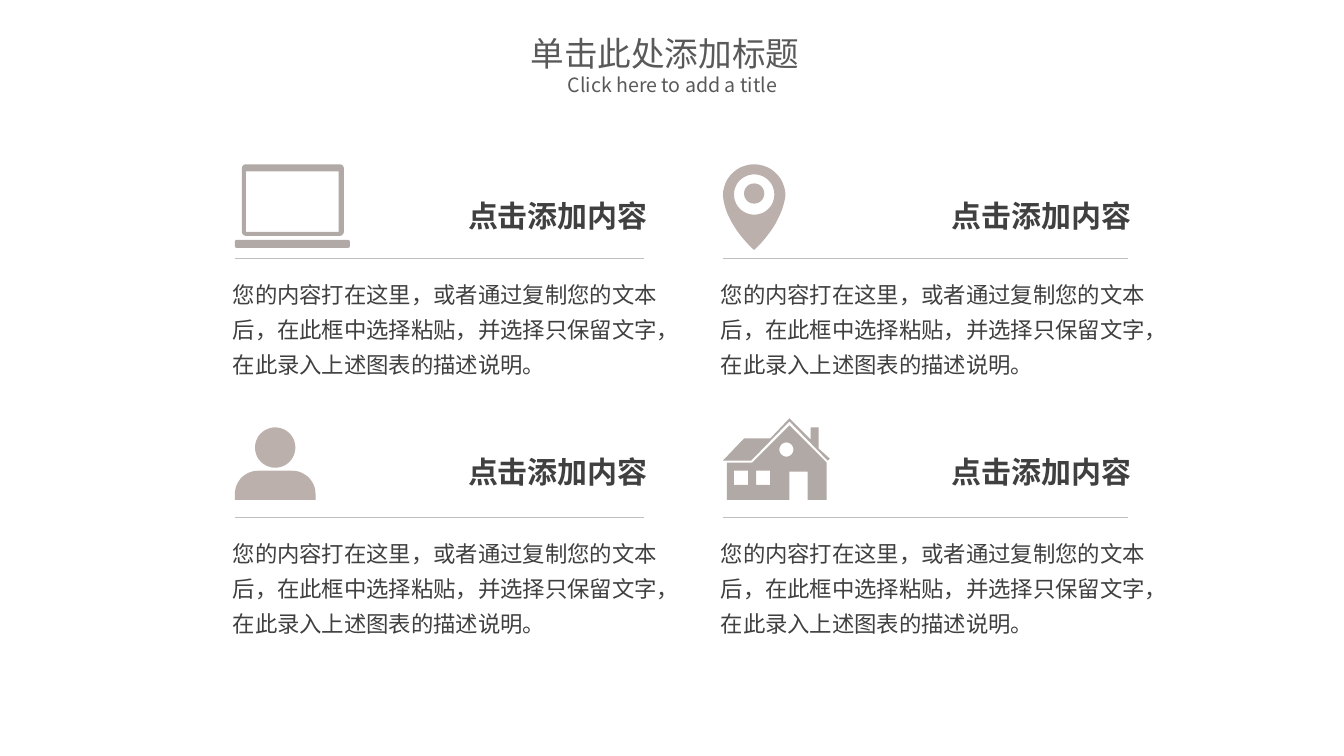
from math import cos, radians, sin

from lxml import etree
from pptx import Presentation
from pptx.dml.color import RGBColor
from pptx.enum import shapes, text
from pptx.oxml import ns
from pptx.util import Inches, Pt

FONT = "Noto Sans CJK SC"
TITLE = RGBColor(0x59, 0x59, 0x59)
INK = RGBColor(0x40, 0x40, 0x40)
RULE = RGBColor(0xBF, 0xBF, 0xBF)
TAUPE = RGBColor(0xB1, 0xA9, 0xA5)
ROSE = RGBColor(0xBB, 0xB0, 0xAC)
HEAD = "点击添加内容"
BODY = ("您的内容打在这里，或者通过复制您的文本后，在此框中选择粘贴，"
        "并选择只保留文字，在此录入上述图表的描述说明。")


def arc(x, y, r, start=0, end=360):
    """Points on a circle, clockwise from start to end in degrees."""
    count = max(8, (end - start) // 8)
    turns = [radians(start + (end - start) * i / count) for i in range(count + 1)]
    return [(x + r * cos(t), y + r * sin(t)) for t in turns]


def curve(a, b, c, d, count=16):
    """Points on a cubic Bezier curve."""
    steps = [i / count for i in range(count + 1)]
    return [tuple((1 - t) ** 3 * p + 3 * t * (1 - t) ** 2 * q
                  + 3 * t * t * (1 - t) * r + t ** 3 * s
                  for p, q, r, s in zip(a, b, c, d)) for t in steps]


def rect(x, y, w, h):
    return [(x, y), (x + w, y), (x + w, y + h), (x, y + h)]


def round_rect(x, y, w, h, r):
    return (arc(x + r, y + r, r, 180, 270) + arc(x + w - r, y + r, r, 270, 360)
            + arc(x + w - r, y + h - r, r, 0, 90) + arc(x + r, y + h - r, r, 90, 180))


def laptop():
    return [round_rect(0, 0.75, 1.14, 0.08, 0.02),
            round_rect(0.07, 0, 1.01, 0.71, 0.04),
            rect(0.11, 0.07, 0.92, 0.6)]


def pin():
    drop = (arc(0.31, 0.31, 0.31, 180, 360)
            + curve((0.62, 0.31), (0.6, 0.46), (0.52, 0.65), (0.31, 0.85))
            + curve((0.31, 0.85), (0.25, 0.8), (0.02, 0.57), (0, 0.31)))
    return [drop, arc(0.31, 0.3, 0.2), arc(0.31, 0.29, 0.1)]


def person():
    trunk = (arc(0.23, 0.66, 0.23, 180, 270) + arc(0.57, 0.66, 0.23, 270, 360)
             + [(0.8, 0.72), (0, 0.72)])
    return [trunk, arc(0.4, 0.2, 0.2)]


def house():
    wall = [(1.03, 0.44), (0.66, 0.07), (0.29, 0.44), (0.04, 0.44), (0.04, 0.81),
            (0.66, 0.81), (0.66, 0.53), (0.84, 0.53), (0.84, 0.81), (1.03, 0.81)]
    roof = [(1.06, 0.4), (1.04, 0.42), (0.66, 0.03), (0.28, 0.42), (0, 0.42),
            (0.21, 0.2), (0.47, 0.2), (0.66, 0), (0.87, 0.21), (0.87, 0.09),
            (0.95, 0.09), (0.95, 0.3)]
    panes = [rect(x, 0.52, 0.14, 0.14) for x in (0.11, 0.33)]
    return [wall, roof, arc(0.63, 0.31, 0.07), *panes]


def icon(slide, x, y, rings, color):
    """Draw closed outlines as one shape; inner ones become holes."""
    rings = [[(px * 1000, py * 1000) for px, py in ring] for ring in rings]
    pen = slide.shapes.build_freeform(*rings[0][0], scale=Inches(1) / 1000)
    pen.add_line_segments(rings[0][1:], close=True)
    for ring in rings[1:]:
        pen.move_to(*ring[0])
        pen.add_line_segments(ring[1:], close=True)
    shape = pen.convert_to_shape(Inches(x), Inches(y))
    shape.shadow.inherit = False
    shape.fill.solid()
    shape.fill.fore_color.rgb = color
    shape.line.fill.background()


def text_box(slide, x, y, w, h, wrap=True):
    box = slide.shapes.add_textbox(Inches(x), Inches(y), Inches(w), Inches(h))
    box.text_frame.word_wrap = wrap
    return box.text_frame


def add_run(para, words, size, color, bold=False):
    run = para.add_run()
    run.text = words
    font = run.font
    font.name, font.size, font.bold = FONT, Pt(size), bold
    font.color.rgb = color
    east = etree.SubElement(run._r.get_or_add_rPr(), ns.qn("a:ea"))
    east.set("typeface", FONT)


def header(slide, x, y, w, h):
    frame = text_box(slide, x, y, w, h)
    frame.vertical_anchor = text.MSO_ANCHOR.MIDDLE
    first, second = frame.paragraphs[0], frame.add_paragraph()
    for para in (first, second):
        para.alignment = text.PP_ALIGN.CENTER
    second._p.get_or_add_pPr().set("marL", str(Inches(0.15)))
    add_run(first, "单击此处添加标题", 24, TITLE)
    add_run(second, "Click here to add a title", 14, TITLE)


def card(slide, x, y, w, rise, rings, color, lift):
    """Icon and heading above a rule at y, text below it."""
    icon(slide, x, y - rise, rings, color)
    line = slide.shapes.add_connector(
        shapes.MSO_CONNECTOR.STRAIGHT, Inches(x), Inches(y), Inches(x + w), Inches(y))
    line.line.color.rgb = RULE
    line.line.width = Pt(0.5)
    etree.SubElement(line._element.spPr, ns.qn("a:effectLst"))

    frame = text_box(slide, x + w - 1.85, y - lift, 1.98, 0.48, wrap=False)
    frame.vertical_anchor = text.MSO_ANCHOR.MIDDLE
    frame.auto_size = text.MSO_AUTO_SIZE.SHAPE_TO_FIT_TEXT
    para = frame.paragraphs[0]
    para.alignment = text.PP_ALIGN.RIGHT
    add_run(para, HEAD, 21.4, INK, bold=True)

    frame = text_box(slide, x - 0.12, y + 0.1, 4.44, 1.14)
    frame.auto_size = text.MSO_AUTO_SIZE.SHAPE_TO_FIT_TEXT
    para = frame.paragraphs[0]
    para.line_spacing = 1.3
    add_run(para, BODY, 16, INK)


def main():
    deck = Presentation()
    deck.slide_width, deck.slide_height = Inches(13.33), Inches(7.5)
    slide = deck.slides.add_slide(deck.slide_layouts[6])
    header(slide, 3.88, 0.38, 5.43, 0.52)
    cols = [(2.33, 4.06), (7.17, 4.02)]
    rows = [(2.56, 0.66, [(laptop, TAUPE, 0.93), (pin, ROSE, 0.93)]),
            (5.13, 0.69, [(person, ROSE, 0.89), (house, TAUPE, 0.98)])]
    for y, lift, icons in rows:
        for (x, w), (draw, color, rise) in zip(cols, icons):
            card(slide, x, y, w, rise, draw(), color, lift)
    deck.save("out.pptx")


if __name__ == "__main__":
    main()
